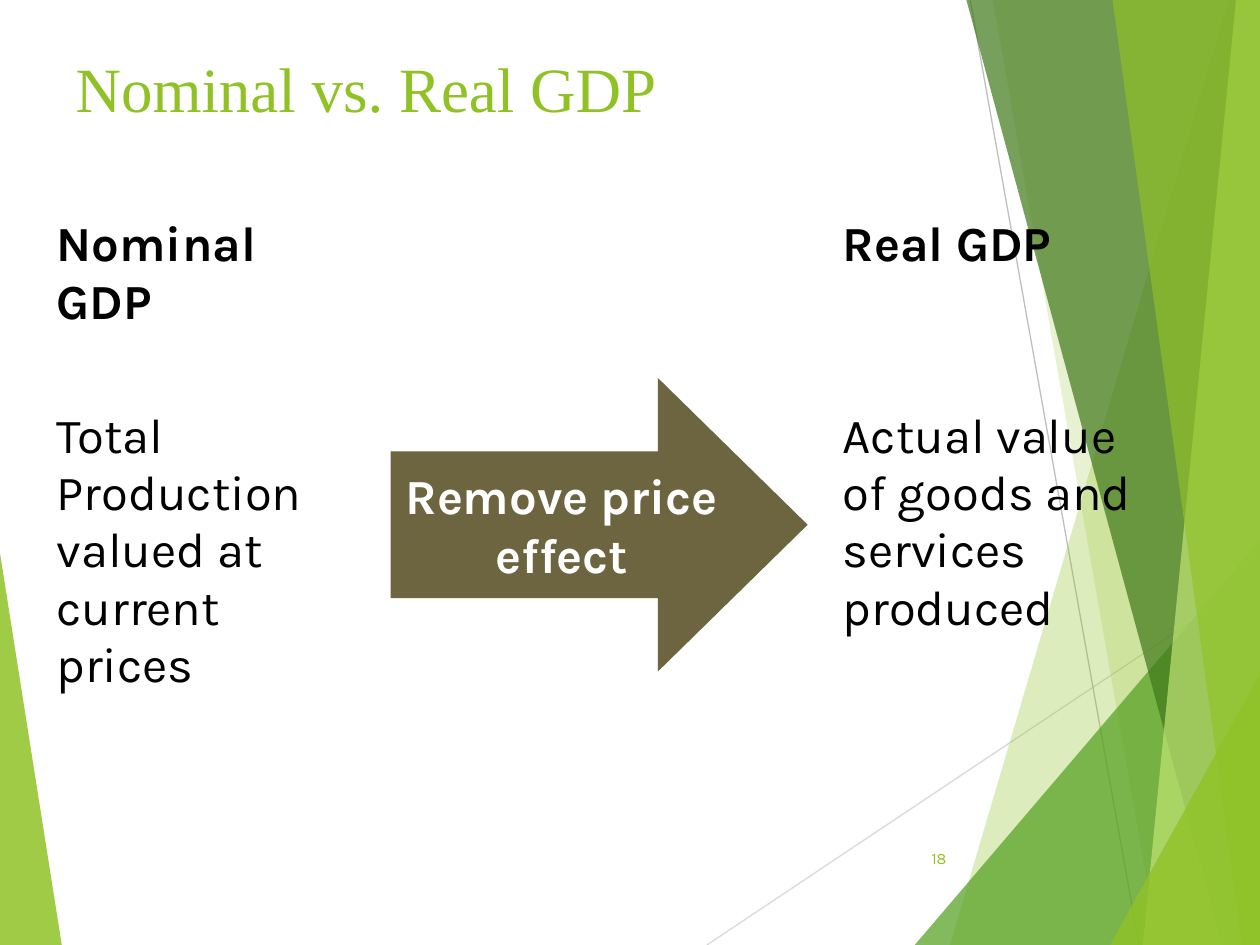
"""Build the slide that compares nominal and real GDP."""
from pptx import Presentation
from pptx import util as u
from pptx.dml.color import RGBColor
from pptx.enum import shapes, text
from pptx.oxml.ns import qn
from lxml import etree


def color(value):
    return RGBColor.from_string(value)


def add_run(paragraph, words, size, value, bold=False, name="Karla"):
    run = paragraph.add_run()
    run.text = words
    run.font.size = u.Pt(size)
    run.font.name = name
    run.font.bold = bold
    run.font.color.rgb = color(value)


GREEN = "90C226"
presentation = Presentation()
presentation.slide_width, presentation.slide_height = u.Inches(10), u.Inches(7.5)
slide = presentation.slides.add_slide(presentation.slide_layouts[5])

left_facet = (GREEN, 85, [(0, 4.39), (0.49, 7.5), (0, 7.5)])
right_facets = [
    (GREEN, 30, [(9.75, 0), (7.54, 7.5), (10, 7.5), (10, 0)]),
    (GREEN, 20, [(7.88, 0), (9.19, 7.5), (10, 7.5), (10, 0)]),
    ("54A021", 72, [(7.26, 7.5), (10, 4.29), (10, 7.5)]),
    ("3F7819", 70, [(7.67, 0), (9.7, 7.5), (10, 7.5), (10, 0)]),
    ("C0E474", 70, [(9.81, 0), (9.07, 7.5), (10, 7.5), (10, 0)]),
    (GREEN, 65, [(8.83, 0), (9.86, 7.5), (10, 7.5), (10, 0)]),
    (GREEN, 80, [(8.81, 7.5), (10, 5.35), (10, 7.5)]),
]
hairlines = [("D9D9D9", (5.61, 7.5, 10, 4.57)), ("BFBFBF", (7.7, 0, 9.04, 7.5))]

for value, ends in hairlines:
    line = slide.shapes.add_connector(
        shapes.MSO_CONNECTOR.STRAIGHT, *[u.Inches(end) for end in ends])
    line.line.color.rgb = color(value)
    line.line.width = u.Pt(0.75)
    etree.SubElement(line._element.spPr, qn("a:effectLst"))

for value, opacity, corners in [left_facet] + right_facets:
    points = [(u.Inches(x), u.Inches(y)) for x, y in corners]
    builder = slide.shapes.build_freeform(*points[0])
    builder.add_line_segments(points[1:], close=True)
    facet = builder.convert_to_shape()
    facet.shadow.inherit = False
    facet.line.fill.background()
    facet.fill.solid()
    facet.fill.fore_color.rgb = color(value)
    fill_color = facet._element.spPr.find(qn("a:solidFill"))[0]
    etree.SubElement(fill_color, qn("a:alpha"), val=str(opacity * 1000))

title = slide.shapes.title
title.left, title.top = u.Inches(0.5), u.Inches(0.3)
title.width, title.height = u.Inches(9), u.Inches(0.78)
title.text_frame.auto_size = text.MSO_AUTO_SIZE.NONE
title.text_frame.vertical_anchor = text.MSO_ANCHOR.MIDDLE
heading = title.text_frame.paragraphs[0]
heading.alignment = text.PP_ALIGN.LEFT
add_run(heading, "Nominal vs. Real GDP", 36, GREEN, name="Times New Roman")
slide.shapes._spTree.append(title._element)

rows = [
    ["Nominal GDP", "", "", "Real GDP"],
    ["Total Production valued at current prices", "", "",
     "Actual value of goods and services produced"],
]
table = slide.shapes.add_table(
    2, 4, u.Inches(0.35), u.Inches(1.67), u.Inches(8.73), u.Inches(4.42)).table
table.first_row = table.horz_banding = False
style = table._tbl.tblPr.find(qn("a:tableStyleId"))
style.text = "{2D5ABB26-0587-4C30-8999-92F81FD0307C}"
for column, width in zip(table.columns, [2.49, 1.84, 1.91, 2.49]):
    column.width = u.Inches(width)
for row, height in zip(table.rows, [1.52, 2.9]):
    row.height = u.Inches(height)
for row_index, row in enumerate(rows):
    for column_index, words in enumerate(row):
        cell = table.cell(row_index, column_index)
        cell.fill.background()
        if words:
            paragraph = cell.text_frame.paragraphs[0]
            add_run(paragraph, words, 28, "000000", bold=row_index == 0)

number = slide.shapes.add_textbox(
    u.Inches(7.05), u.Inches(6.61), u.Inches(0.56), u.Inches(0.4))
number.text_frame.word_wrap = True
number.text_frame.vertical_anchor = text.MSO_ANCHOR.MIDDLE
paragraph = number.text_frame.paragraphs[0]
paragraph.alignment = text.PP_ALIGN.RIGHT
add_run(paragraph, "18", 9, GREEN)

arrow = slide.shapes.add_shape(
    shapes.MSO_SHAPE.RIGHT_ARROW,
    u.Inches(3.1), u.Inches(3), u.Inches(3.31), u.Inches(2.33))
arrow.adjustments[0], arrow.adjustments[1] = 0.5, 0.51
arrow.shadow.inherit = False
arrow.fill.solid()
arrow.fill.fore_color.rgb = color("6D6540")
arrow.line.fill.background()
arrow.text_frame.word_wrap = True
arrow.text_frame.vertical_anchor = text.MSO_ANCHOR.MIDDLE
paragraph = arrow.text_frame.paragraphs[0]
paragraph.alignment = text.PP_ALIGN.CENTER
add_run(paragraph, "Remove price effect", 28, "FFFFFF", bold=True)

presentation.save("out.pptx")
